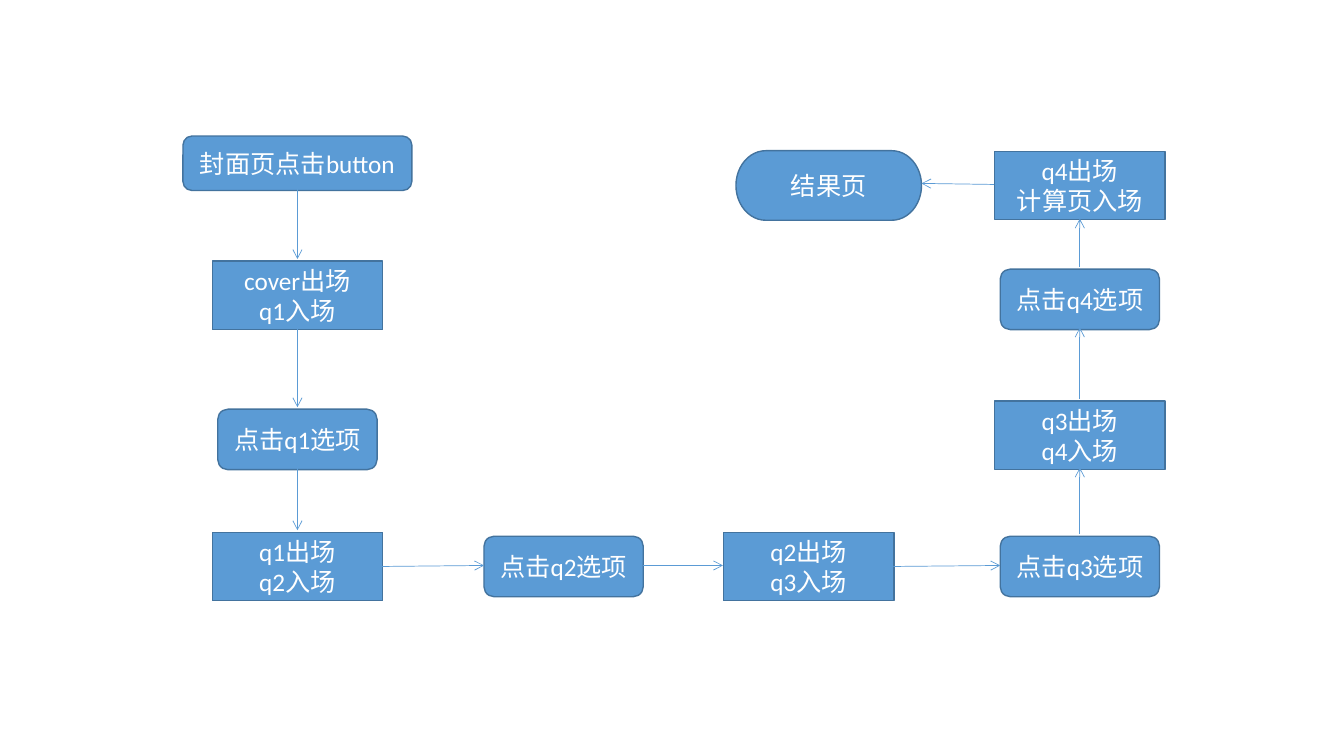
from dataclasses import dataclass

from lxml import etree
from pptx import Presentation
from pptx.dml.color import RGBColor
from pptx.enum.shapes import MSO_CONNECTOR, MSO_SHAPE
from pptx.enum.text import MSO_ANCHOR, PP_ALIGN
from pptx.oxml.ns import qn
from pptx.slide import Slide
from pptx.util import Inches, Pt

BLUE = RGBColor(0x5B, 0x9B, 0xD5)
EDGE = RGBColor(0x43, 0x73, 0x9E)
WHITE = RGBColor(0xFF, 0xFF, 0xFF)
FONT = "Calibri"
CLICK = MSO_SHAPE.FLOWCHART_ALTERNATE_PROCESS
STEP = MSO_SHAPE.FLOWCHART_PROCESS
FINISH = MSO_SHAPE.FLOWCHART_TERMINATOR
LINE = MSO_CONNECTOR.STRAIGHT
CENTER = PP_ALIGN.CENTER
MIDDLE = MSO_ANCHOR.MIDDLE
LEFT, RIGHT = 2.95, 10.71


@dataclass
class Node:
    kind: MSO_SHAPE
    text: str
    x: float
    y: float
    wide: float
    high: float


@dataclass
class Arrow:
    x1: float
    y1: float
    x2: float
    y2: float


def click(name: str, x: float, y: float) -> Node:
    return Node(CLICK, f"点击{name}选项", x, y, 1.58, 0.6)


def step(past: str, new: str, x: float, y: float) -> Node:
    return Node(STEP, f"{past}出场\n{new}入场", x, y, 1.69, 0.68)


def draw_node(slide: Slide, node: Node) -> None:
    shape = slide.shapes.add_shape(
        node.kind,
        Inches(node.x - node.wide / 2), Inches(node.y - node.high / 2),
        Inches(node.wide), Inches(node.high))
    shape.shadow.inherit = False
    shape.fill.solid()
    shape.fill.fore_color.rgb = BLUE
    shape.line.color.rgb = EDGE
    shape.line.width = Pt(1)
    frame = shape.text_frame
    frame.word_wrap = True
    frame.vertical_anchor = MIDDLE
    frame.text = node.text
    for para in frame.paragraphs:
        para.alignment = CENTER
        for run in para.runs:
            run.font.name = FONT
            run.font.size = Pt(18)
            run.font.color.rgb = WHITE


def draw_arrow(slide: Slide, arrow: Arrow) -> None:
    link = slide.shapes.add_connector(
        LINE, Inches(arrow.x1), Inches(arrow.y1),
        Inches(arrow.x2), Inches(arrow.y2))
    link.line.color.rgb = BLUE
    link.line.width = Pt(0.5)
    etree.SubElement(link.line._get_or_add_ln(), qn("a:tailEnd"), type="arrow")
    etree.SubElement(link._element.spPr, qn("a:effectLst"))


NODES = [
    Node(CLICK, "封面页点击button", LEFT, 1.62, 2.27, 0.54),
    step("cover", "q1", LEFT, 2.93),
    click("q1", LEFT, 4.36),
    step("q1", "q2", LEFT, 5.62),
    click("q2", 5.59, 5.62),
    step("q2", "q3", 8.02, 5.62),
    click("q3", RIGHT, 5.62),
    step("q3", "q4", RIGHT, 4.32),
    click("q4", RIGHT, 2.97),
    step("q4", "计算页", RIGHT, 1.84),
    Node(FINISH, "结果页", 8.22, 1.84, 1.84, 0.69),
]
ARROWS = [
    Arrow(LEFT, 1.88, LEFT, 2.57),
    Arrow(LEFT, 3.25, LEFT, 4.04),
    Arrow(LEFT, 4.64, LEFT, 5.26),
    Arrow(3.79, 5.62, 4.8, 5.61),
    Arrow(6.38, 5.61, 7.17, 5.61),
    Arrow(8.86, 5.62, 9.92, 5.61),
    Arrow(RIGHT, 5.3, RIGHT, 4.64),
    Arrow(RIGHT, 3.96, RIGHT, 3.25),
    Arrow(RIGHT, 2.65, RIGHT, 2.17),
    Arrow(9.86, 1.83, 9.14, 1.82),
]

deck = Presentation()
deck.slide_width = Inches(13.33)
deck.slide_height = Inches(7.5)
slide = deck.slides.add_slide(deck.slide_layouts[6])
for node in NODES:
    draw_node(slide, node)
for arrow in ARROWS:
    draw_arrow(slide, arrow)
deck.save("out.pptx")
